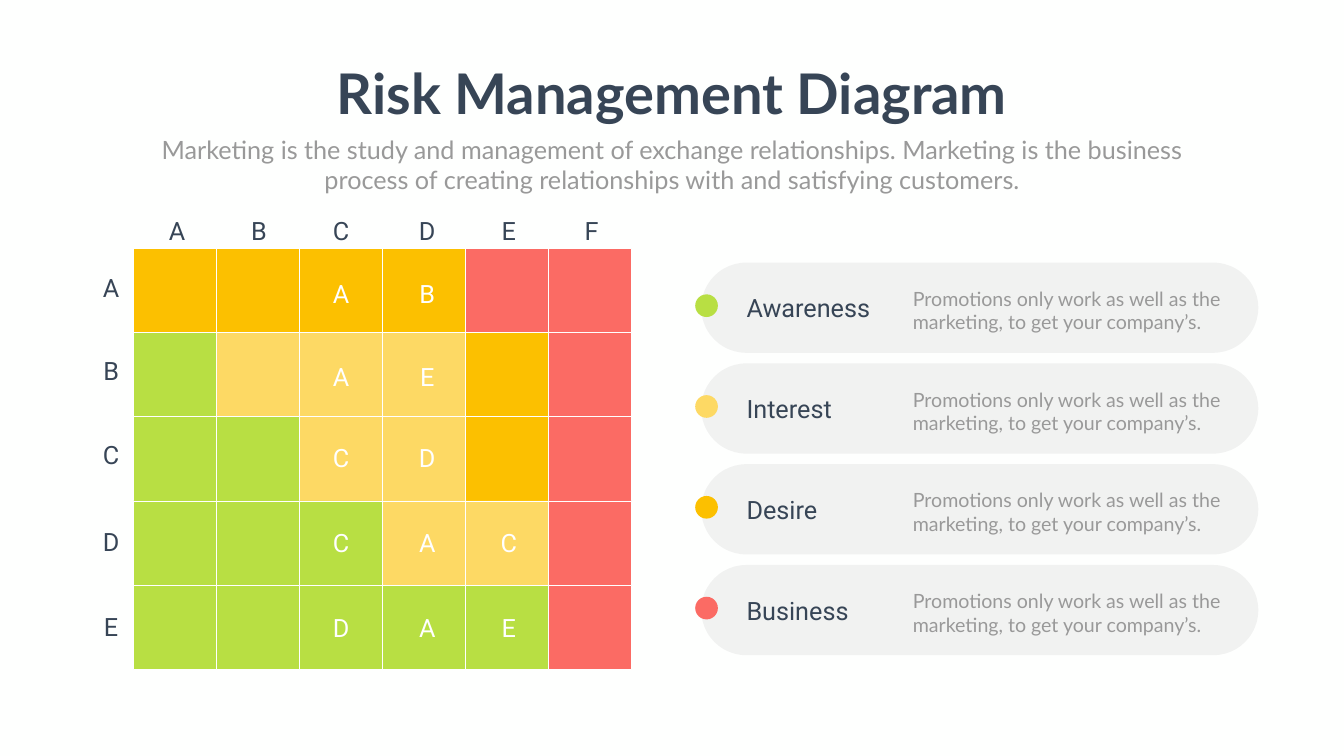
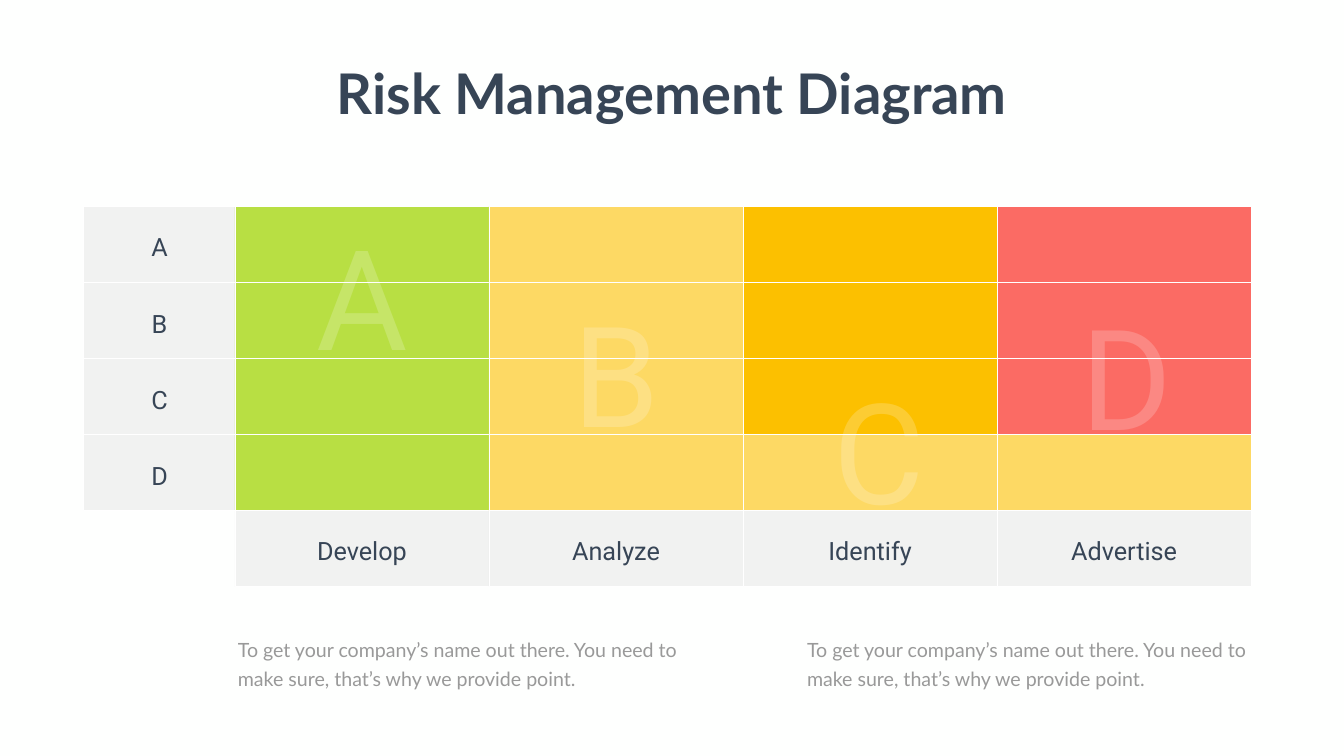
from lxml import etree
from pptx import Presentation
from pptx.dml.color import RGBColor
from pptx.enum import shapes, text
from pptx.oxml import ns
from pptx.util import Inches, Pt

NAVY, GRAY, WHITE, PANEL = "374556", "999999", "FFFFFF", "808080"
RISK = {"G": "B8DF43", "Y": "FDD964", "O": "FCC000", "R": "FB6B64"}
RECT = shapes.MSO_SHAPE.RECTANGLE
PILL = shapes.MSO_SHAPE.ROUNDED_RECTANGLE
DOT = shapes.MSO_SHAPE.OVAL
CENTER, LEFT = text.PP_ALIGN.CENTER, text.PP_ALIGN.LEFT


def draw(slide, kind, box, color, outlined=False):
    block = slide.shapes.add_shape(kind, *map(Inches, box))
    block.shadow.inherit = False
    block.fill.solid()
    block.fill.fore_color.rgb = RGBColor.from_string(color)
    if color == PANEL:
        tint = block._element.spPr.find(".//" + ns.qn("a:srgbClr"))
        etree.SubElement(tint, ns.qn("a:alpha"), val="10000")
    if outlined:
        block.line.color.rgb = RGBColor.from_string(WHITE)
        block.line.width = Pt(1)
    else:
        block.line.fill.background()
    return block


def write(slide, box, words, size=36, font="Roboto", color=NAVY, align=CENTER):
    label = slide.shapes.add_textbox(*map(Inches, box))
    frame = label.text_frame
    frame.word_wrap = True
    frame.auto_size = text.MSO_AUTO_SIZE.SHAPE_TO_FIT_TEXT
    frame.text = words
    frame.paragraphs[0].alignment = align
    run = frame.paragraphs[0].runs[0]
    run.font.size = Pt(size)
    run.font.name = font
    run.font.color.rgb = RGBColor.from_string(color)
    return label


prs = Presentation()
prs.slide_width, prs.slide_height = Inches(26.66), Inches(15)
matrix_slide, stages_slide = [prs.slides.add_slide(prs.slide_layouts[6]) for _ in range(2)]

for slide in (matrix_slide, stages_slide):
    slide.background.fill.solid()
    slide.background.fill.fore_color.rgb = RGBColor.from_string("FEFFFE")
    title = write(slide, (6.46, 1.12, 13.74, 1.45), "Risk Management Diagram", 80, "Lato")
    title.text_frame.word_wrap = False
    title.text_frame.paragraphs[0].runs[0].font.bold = True

write(matrix_slide, (2.92, 2.61, 20.82, 1.31),
      "Marketing is the study and management of exchange relationships. Marketing is the "
      "business process of creating relationships with and satisfying customers.",
      36, "Lato", GRAY)

matrix = ["OOOORR", "GYYYOR", "GGYYOR", "GGGYYR", "GGGGGR"]
for row, levels in enumerate(matrix):
    for col, level in enumerate(levels):
        draw(matrix_slide, RECT, (2.64 + 1.648 * col, 4.93 + 1.67 * row, 1.65, 1.67),
             RISK[level], True)

column_lefts = [3, 4.62, 6.25, 7.96, 9.58, 11.22]
row_tops = [5.36, 7, 8.67, 10.39, 12.08]
mark_tops = [5.47, 7.12, 8.73, 10.42, 12.11]
for left, letter in zip(column_lefts, "ABCDEF"):
    write(matrix_slide, (left, 4.22, 1.03, 0.73), letter)
for top, letter in zip(row_tops, "ABCDE"):
    write(matrix_slide, (1.69, top, 1.03, 0.73), letter)
for top, marks in zip(mark_tops, ["AB", "AE", "CD", "CAC", "DAE"]):
    for left, mark in zip(column_lefts[2:], marks):
        write(matrix_slide, (left, top, 1.03, 0.73), mark, color=WHITE)

legend = [("Awareness", "G"), ("Interest", "Y"), ("Desire", "O"), ("Business", "R")]
for i, (name, level) in enumerate(legend):
    top = 5.21 + 2 * i
    pill = draw(matrix_slide, PILL, (13.91, top, 11.05, 1.79), PANEL)
    pill.adjustments[0] = 0.5
    write(matrix_slide, (18.01, top + 0.43, 6.49, 1.04),
          "Promotions only work as well as the marketing, to get your company’s.",
          28, "Lato", GRAY, LEFT)
    write(matrix_slide, (14.71, top + 0.55, 3.46, 0.71), name, align=LEFT)
    draw(matrix_slide, DOT, (13.79, top + 0.63, 0.45, 0.45), RISK[level])

stages = [("Develop", "GGGG"), ("Analyze", "YYYY"), ("Identify", "OOOY"), ("Advertise", "RRRY")]
stage_width, row_height, grid_left, grid_top = 5.04, 1.51, 4.66, 4.09
for col, (name, levels) in enumerate(stages):
    left = grid_left + stage_width * col
    for row, color in enumerate([RISK[level] for level in levels] + [PANEL]):
        draw(stages_slide, RECT, (left, grid_top + row_height * row, stage_width, row_height),
             color, True)
    write(stages_slide, (left - 0.18, 10.58, 5.4, 0.61), name)

for left, top, letter in [(5.44, 4.13, "A"), (10.48, 5.65, "B"), (15.69, 7.19, "C"), (20.6, 5.71, "D")]:
    stage_mark = write(stages_slide, (left, top, 3.49, 2.94), letter, 200, color=WHITE)
    tint = stage_mark._element.find(".//" + ns.qn("a:srgbClr"))
    etree.SubElement(tint, ns.qn("a:alpha"), val="20000")

for row, letter in enumerate("ABCD"):
    top = grid_top + row_height * row
    draw(stages_slide, RECT, (1.66, top, 3, row_height), PANEL, True)
    write(stages_slide, (2.42, top + 0.46, 1.49, 0.6), letter)

for left in (4.62, 15.91):
    note = write(stages_slide, (left, 12.51, 9.22, 1.19),
                 "To get your company’s name out there. You need to make sure, "
                 "that’s why we provide point.", 28, "Lato", GRAY, LEFT)
    note.text_frame.paragraphs[0].line_spacing = Pt(40.8)

prs.save("out.pptx")
